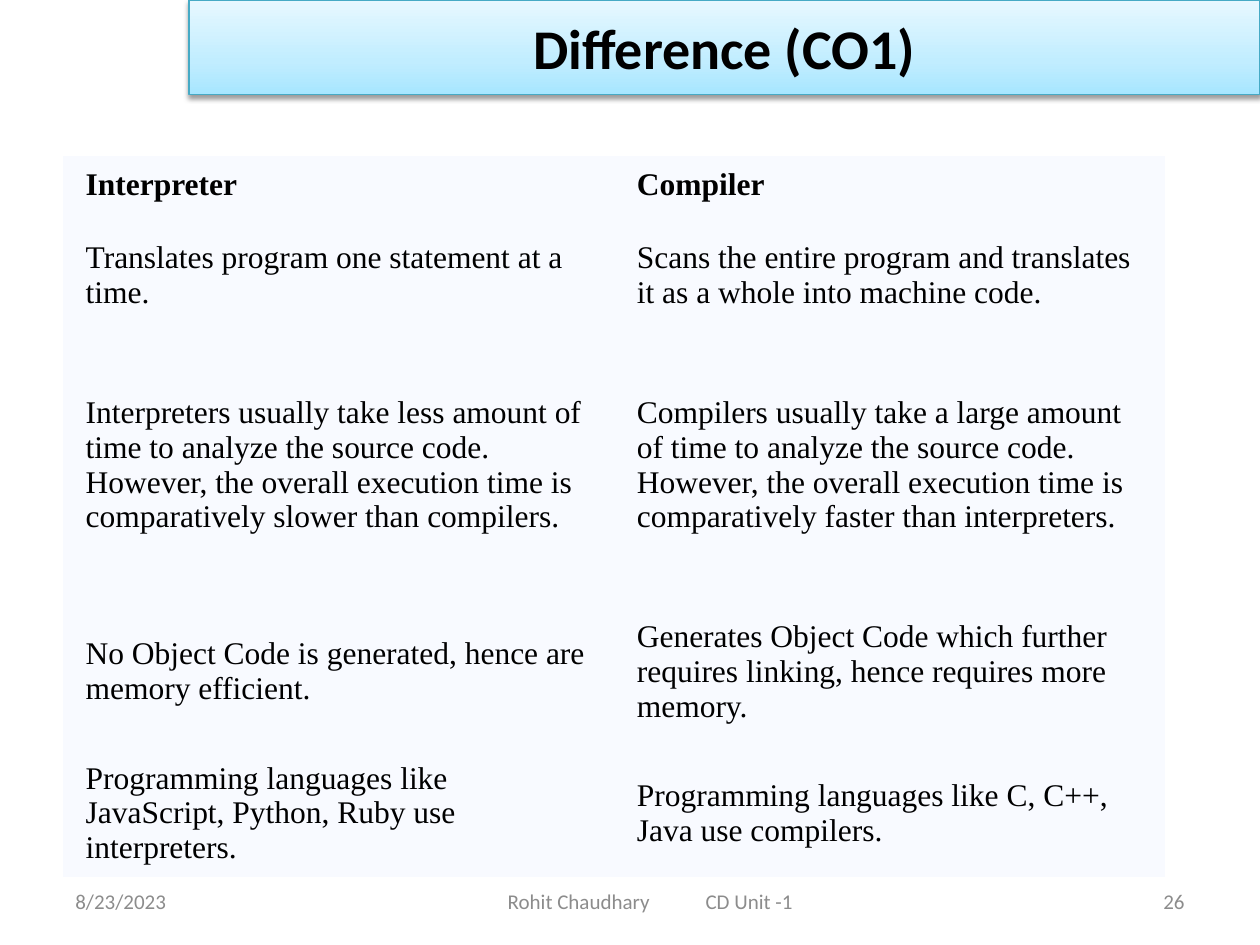
from lxml.etree import SubElement
from pptx import Presentation
from pptx.dml.color import RGBColor
from pptx.enum.shapes import MSO_SHAPE
from pptx.enum.text import MSO_ANCHOR, PP_ALIGN
from pptx.oxml import parse_xml
from pptx.oxml.ns import nsdecls, qn
from pptx.util import Inches, Pt

TITLE = "Difference (CO1)"
ROWS = [  # height, interpreter, compiler
    (0.46, "Interpreter", "Compiler"),
    (0.97, "Translates program one statement at a time.",
     "Scans the entire program and translates it as a whole into machine code."),
    (2.04, "Interpreters usually take less amount of time to analyze the source code. "
     "However, the overall execution time is comparatively slower than compilers.",
     "Compilers usually take a large amount of time to analyze the source code. "
     "However, the overall execution time is comparatively faster than interpreters."),
    (1.24, "No Object Code is generated, hence are memory efficient.",
     "Generates Object Code which further requires linking, hence requires more memory."),
    (1.0, "Programming languages like JavaScript, Python, Ruby use interpreters.",
     "Programming languages like C, C++, Java use compilers."),
]
FOOTERS = [  # left, width, left inset, text, alignment
    (0.5, 2.33, 0.1, "8/23/2023", PP_ALIGN.LEFT),
    (3.42, 3.5, 0.61, "Rohit Chaudhary\tCD Unit -1", PP_ALIGN.LEFT),
    (7.17, 2.33, 0.1, "26", PP_ALIGN.RIGHT),
]
FOOTER_TAB = 1.57
GRADIENT = [(0, "A7E6FF"), (35, "C1EDFF"), (100, "E7F8FF")]


def color(value):
    return RGBColor.from_string(value)


def style(p, size, name, value, bold=False, align=PP_ALIGN.LEFT):
    p.alignment = align
    p.font.size, p.font.name, p.font.bold = Pt(size), name, bold
    p.font.color.rgb = color(value)


prs = Presentation()
prs.slide_width, prs.slide_height = Inches(10), Inches(7.5)
s = prs.slides.add_slide(prs.slide_layouts[6])

# Comparison table, without style borders
table = s.shapes.add_table(len(ROWS), 2, Inches(0.5), Inches(1.24), Inches(8.75),
                           Inches(sum(row[0] for row in ROWS))).table
table.first_row = table.horz_banding = False
table._tbl.tblPr.find(qn("a:tableStyleId")).text = "{2D5ABB26-0587-4C30-8999-92F81FD0307C}"
for i, (height, *texts) in enumerate(ROWS):
    table.rows[i].height = Inches(height)
    for j, text in enumerate(texts):
        cell = table.cell(i, j)
        cell.fill.solid()
        cell.fill.fore_color.rgb = color("F8FAFF")
        cell.vertical_anchor = MSO_ANCHOR.MIDDLE
        cell.margin_left = cell.margin_right = Inches(0.18)
        cell.margin_top = cell.margin_bottom = Inches(0.09)
        cell.text = text
        style(cell.text_frame.paragraphs[0], 18, "Times New Roman", "000000", bold=i == 0)

# Footer: date, author and unit, slide number
for left, width, inset, text, align in FOOTERS:
    tf = s.shapes.add_textbox(Inches(left), Inches(6.95), Inches(width), Inches(0.4)).text_frame
    tf.word_wrap = True
    tf.vertical_anchor = MSO_ANCHOR.MIDDLE
    tf.margin_left = Inches(inset)
    p = tf.paragraphs[0]
    p.add_run().text = text
    if "\t" in text:
        tabs = SubElement(p._p.get_or_add_pPr(), qn("a:tabLst"))
        SubElement(tabs, qn("a:tab"), pos=str(Inches(FOOTER_TAB)), algn="l")
    style(p, 12, "Calibri", "8C8C8C", align=align)

# Title bar with gradient and soft shadow
bar = s.shapes.add_shape(MSO_SHAPE.RECTANGLE, Inches(1.5), 0, Inches(8.5), Inches(0.75))
bar.line.color.rgb = color("46AAC5")
bar.line.width = Pt(0.75)
bar.fill.gradient()
bar.fill.gradient_angle = 90
stops = bar._element.spPr.find(qn("a:gradFill")).find(qn("a:gsLst"))
for stop in list(stops):
    stops.remove(stop)
for pos, value in GRADIENT:
    stop = SubElement(stops, qn("a:gs"), pos=str(pos * 1000))
    SubElement(stop, qn("a:srgbClr"), val=value)
bar.shadow.inherit = False
bar._element.spPr.find(qn("a:effectLst")).append(parse_xml(
    f'<a:outerShdw {nsdecls("a")} blurRad="{Pt(3.1)}" dist="{Pt(1.6)}" dir="5400000" '
    'rotWithShape="0"><a:srgbClr val="000000"><a:alpha val="38000"/></a:srgbClr></a:outerShdw>'))
tf = bar.text_frame
tf.vertical_anchor = MSO_ANCHOR.MIDDLE
tf.text = TITLE
style(tf.paragraphs[0], 32, "Calibri", "000000", bold=True, align=PP_ALIGN.CENTER)

prs.save("out.pptx")
